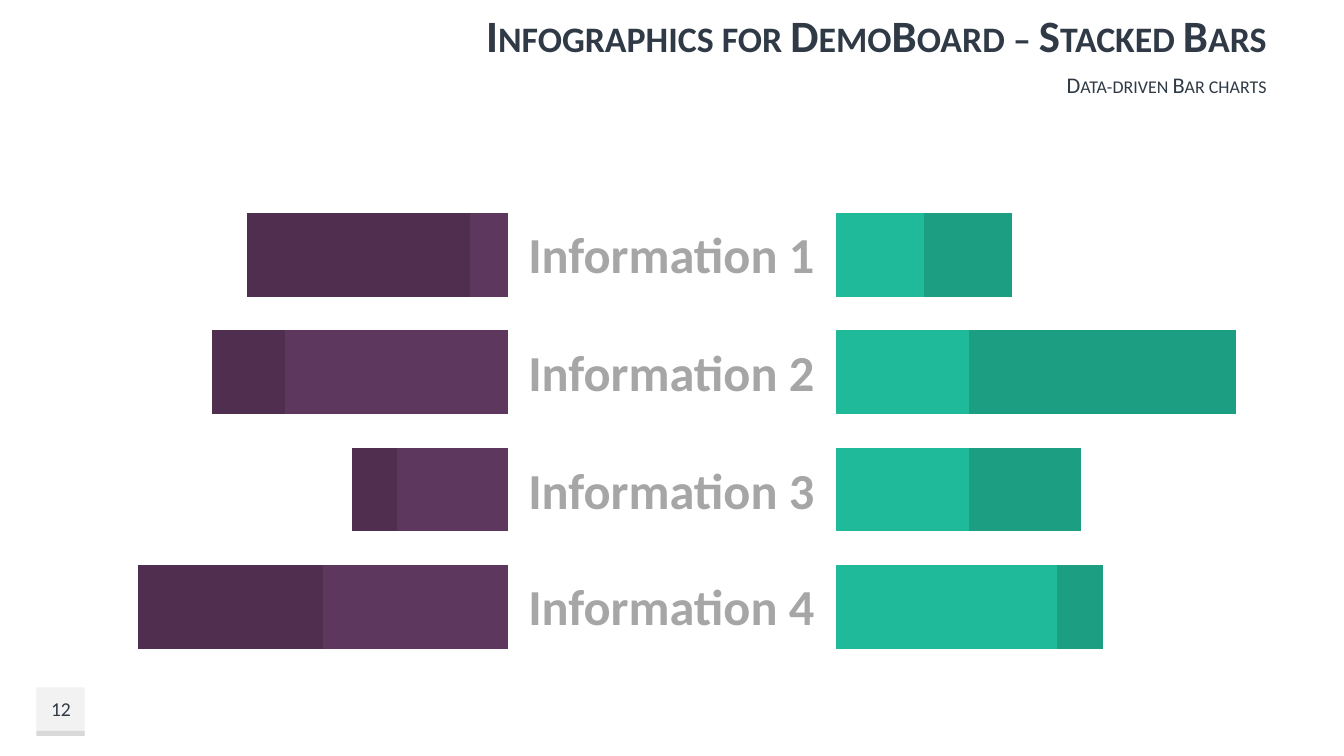
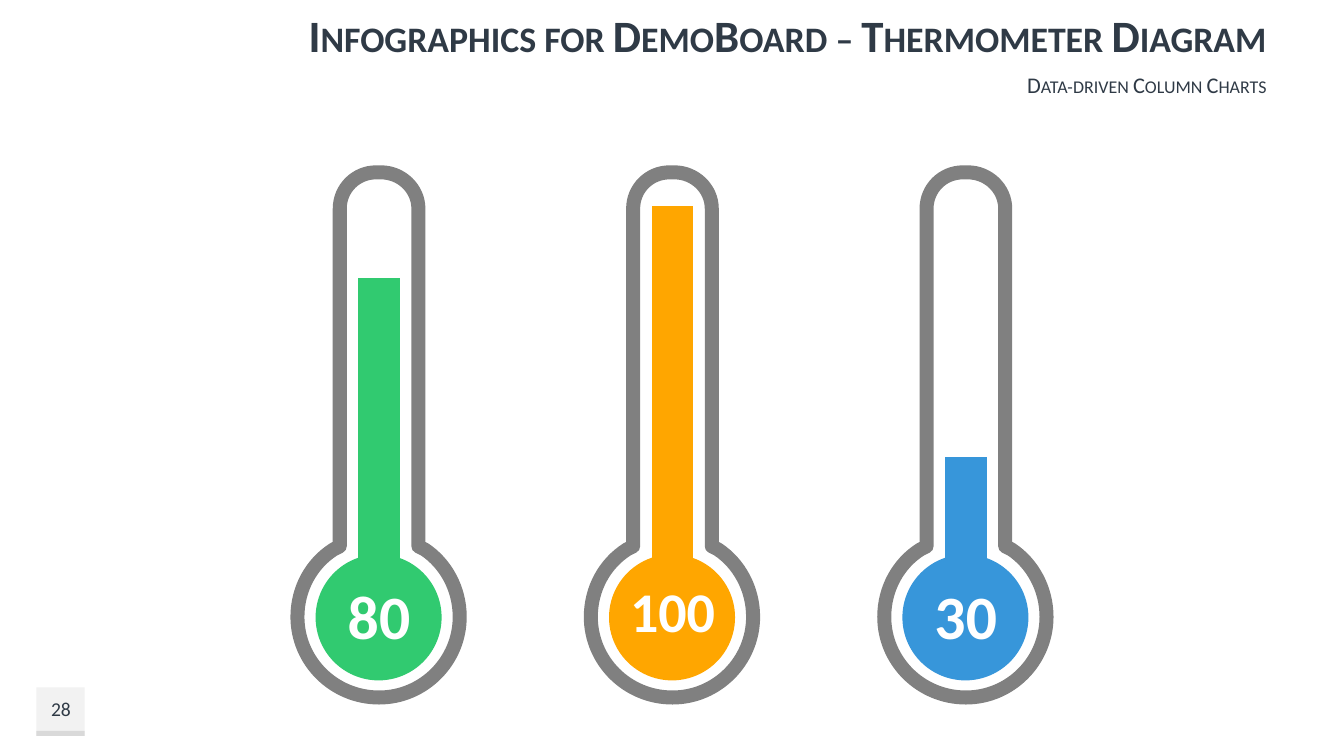
import lxml.etree
import pptx
import pptx.chart.data
import pptx.dml.color
import pptx.enum.chart
import pptx.enum.shapes
import pptx.enum.text
import pptx.oxml.ns
import pptx.util

Inches = pptx.util.Inches
Align = pptx.enum.text.PP_ALIGN
ChartType = pptx.enum.chart.XL_CHART_TYPE
Preset = pptx.enum.shapes.MSO_SHAPE
qn = pptx.oxml.ns.qn

FONT = "Calibri"
INK, WHITE, LABEL_GREY, TUBE_GREY = "2F3A46", "FFFFFF", "A6A6A6", "808080"
BADGE, BADGE_EDGE = "F2F2F2", "D9D9D9"

# Thermometer glass, from its left edge: each step is a line end or a curve's three points
GLASS_START = (0.78, 1.71)
GLASS_STEPS = [
    [(0.83, 1.71)],
    [(1.03, 1.71), (1.2, 1.87), (1.2, 2.07)],
    [(1.2, 5.42)],
    [(1.26, 5.45)],
    [(1.47, 5.59), (1.61, 5.84), (1.61, 6.12)],
    [(1.61, 6.56), (1.25, 6.92), (0.81, 6.92)],
    [(0.36, 6.92), (0, 6.56), (0, 6.12)],
    [(0, 5.84), (0.14, 5.59), (0.36, 5.45)],
    [(0.42, 5.42)],
    [(0.42, 2.07)],
    [(0.42, 1.87), (0.58, 1.71), GLASS_START],
]


def color(hex_string):
    return pptx.dml.color.RGBColor.from_string(hex_string)


def inches(*values):
    return [Inches(value) for value in values]


class Deck:
    """Holds the shared style and the current slide."""

    def __init__(self):
        self.presentation = pptx.Presentation()
        self.presentation.slide_width, self.presentation.slide_height = inches(13.33, 7.5)
        self.slide = None

    def add_slide(self, title, subtitle, number):
        self.slide = self.presentation.slides.add_slide(self.presentation.slide_layouts[6])
        # Page number badge
        self.shape(Preset.RECTANGLE, (0.36, 6.82, 0.48, 0.48), BADGE)
        self.shape(Preset.RECTANGLE, (0.36, 7.25, 0.48, 0.05), BADGE_EDGE)
        self.text(number, (0.29, 6.82, 0.63, 0.43), 14)
        # Heading
        self.text(subtitle, (2.17, 0.68, 10.49, 0.31), 16, align=Align.RIGHT, small_caps=True)
        self.text(title, (2.17, 0, 10.49, 0.68), 32, bold=True, align=Align.RIGHT,
                  small_caps=True)

    def style_font(self, font, size, hex_string, bold=False):
        font.name = FONT
        font.size = pptx.util.Pt(size)
        font.bold = bold
        font.color.rgb = color(hex_string)

    def text(self, words, box, size, hex_string=INK, bold=False, align=Align.CENTER,
             small_caps=False, wrap=True):
        frame = self.slide.shapes.add_textbox(*inches(*box)).text_frame
        frame.word_wrap = wrap
        frame.vertical_anchor = pptx.enum.text.MSO_ANCHOR.MIDDLE
        paragraph = frame.paragraphs[0]
        paragraph.alignment = align
        run = paragraph.add_run()
        run.text = words
        self.style_font(run.font, size, hex_string, bold)
        if small_caps:
            run.font._element.set("cap", "small")

    def paint(self, shape, fill):
        shape.shadow.inherit = False
        shape.fill.solid()
        shape.fill.fore_color.rgb = color(fill)

    def shape(self, preset, box, fill):
        shape = self.slide.shapes.add_shape(preset, *inches(*box))
        self.paint(shape, fill)
        shape.line.fill.background()

    def outline(self, left, start, steps, fill, line, width):
        def place(point):
            return inches(left + point[0], point[1])

        builder = self.slide.shapes.build_freeform(*place(start))
        builder.add_line_segments([place(step[-1]) for step in steps], close=True)
        shape = builder.convert_to_shape()
        self.paint(shape, fill)
        shape.line.color.rgb = color(line)
        shape.line.width = pptx.util.Pt(width)
        stroke = shape.element.spPr.find(qn("a:ln"))
        lxml.etree.SubElement(stroke, qn("a:round"))
        # Bend the steps that have control points
        for segment, step in zip(shape.element.xpath(".//a:lnTo"), steps):
            if len(step) == 3:
                curve = lxml.etree.Element(qn("a:cubicBezTo"))
                for x, y in map(place, step):
                    lxml.etree.SubElement(curve, qn("a:pt"), x=str(x - shape.left),
                                          y=str(y - shape.top))
                segment.getparent().replace(segment, curve)

    def manual_layout(self, parent, index, **settings):
        layout = lxml.etree.Element(qn("c:layout"))
        manual = lxml.etree.SubElement(layout, qn("c:manualLayout"))
        for tag, value in settings.items():
            lxml.etree.SubElement(manual, qn("c:" + tag)).set("val", str(value))
        parent.insert(index, layout)

    def stacked_chart(self, kind, box, categories, series, gap, plot_area,
                      maximum=None, reverse=False):
        """Adds a bare stacked chart; series holds (values, colour or None) pairs."""
        data = pptx.chart.data.CategoryChartData()
        data.categories = categories
        for number, (values, _) in enumerate(series, 1):
            data.add_series(f"Series {number}", values)
        chart = self.slide.shapes.add_chart(kind, *inches(*box), data).chart
        chart.has_legend = chart.has_title = False
        self.style_font(chart.font, 10, "000000")
        for axis in (chart.category_axis, chart.value_axis):
            axis.has_major_gridlines = False
            axis.visible = False
        chart.value_axis.reverse_order = reverse
        if maximum:
            chart.value_axis.minimum_scale = 0
            chart.value_axis.maximum_scale = maximum
        plot = chart.plots[0]
        plot.gap_width, plot.overlap, plot.vary_by_categories = gap, 100, False
        for drawn, (_, fill) in zip(plot.series, series):
            if fill:
                drawn.format.fill.solid()
                drawn.format.fill.fore_color.rgb = color(fill)
            else:
                drawn.format.fill.background()
        area = chart.element.xpath(".//c:plotArea")[0]
        for old_layout in area.findall(qn("c:layout")):
            area.remove(old_layout)
        x, y, w, h = plot_area
        self.manual_layout(area, 0, layoutTarget="inner", xMode="edge", yMode="edge",
                           x=x, y=y, w=w, h=h)
        return chart

    def moved_label(self, chart, size, shift):
        """Shows the first value, moved down by a share of the chart height."""
        label = chart.plots[0].series[0].points[0].data_label
        self.style_font(label.font, size, WHITE, bold=True)
        label.position = pptx.enum.chart.XL_LABEL_POSITION.CENTER
        for element in chart.element.xpath(".//c:dLbl"):
            self.manual_layout(element, 1, x=0, y=round(shift, 3))
        for body in chart.element.xpath(".//c:dLbl//a:bodyPr"):
            body.set("wrap", "none")
        for leader in chart.element.xpath(".//c:showLeaderLines"):
            leader.set("val", "0")

    def thermometer(self, left, value, fill, label_size, label_y):
        # Glass, bulb and column
        self.outline(left, GLASS_START, GLASS_STEPS, WHITE, TUBE_GREY, 10)
        self.shape(Preset.OVAL, (left + 0.18, 5.5, 1.25, 1.25), fill)
        top, height = 1.83, 5.09
        plot_area = (0.088, 0.043, 0.824, 0.697)
        chart = self.stacked_chart(
            ChartType.COLUMN_STACKED_100, (left - 0.57, top, 2.76, height), ["1"],
            [([value], fill), ([100 - value], None)], 450, plot_area)

        # Value, moved from the middle of the column into the bulb
        _, plot_top, _, plot_height = plot_area
        column_middle = plot_top + plot_height * (1 - value / 200)
        self.moved_label(chart, label_size, (label_y - top) / height - column_middle)


def stacked_bars(deck):
    deck.add_slide("Infographics for DemoBoard – Stacked Bars", "Data-driven Bar charts", "12")
    sides = [
        (8.2, 167, False, [([83, 50, 50, 33], "1FBA9A"), ([17, 42, 100, 33], "1C9E83")]),
        (0.53, 200, True, [([83, 50, 100, 17], "5E375E"), ([83, 20, 33, 100], "502E50")]),
    ]
    for left, maximum, reverse, series in sides:
        deck.stacked_chart(ChartType.BAR_STACKED, (left, 1.85, 4.6, 4.85),
                           ["1", "2", "3", "4"], series, 40, (0.02, 0.02, 0.96, 0.96),
                           maximum, reverse)
    for number, top in enumerate((2.16, 3.33, 4.5, 5.65), 1):
        deck.text(f"Information {number}", (5.12, top, 3.08, 0.71), 36,
                  LABEL_GREY, bold=True, wrap=False)


def thermometers(deck):
    deck.add_slide("Infographics for DemoBoard – Thermometer Diagram",
                   "Data-driven Column Charts", "28")
    readings = [(80, "31CA70", 44, 6.13), (100, "FFA600", 40, 6.09), (30, "3796DA", 44, 6.14)]
    for position, reading in enumerate(readings):
        deck.thermometer(2.95 + 2.91 * position, *reading)


def main():
    deck = Deck()
    stacked_bars(deck)
    thermometers(deck)
    deck.presentation.save("out.pptx")


if __name__ == "__main__":
    main()
